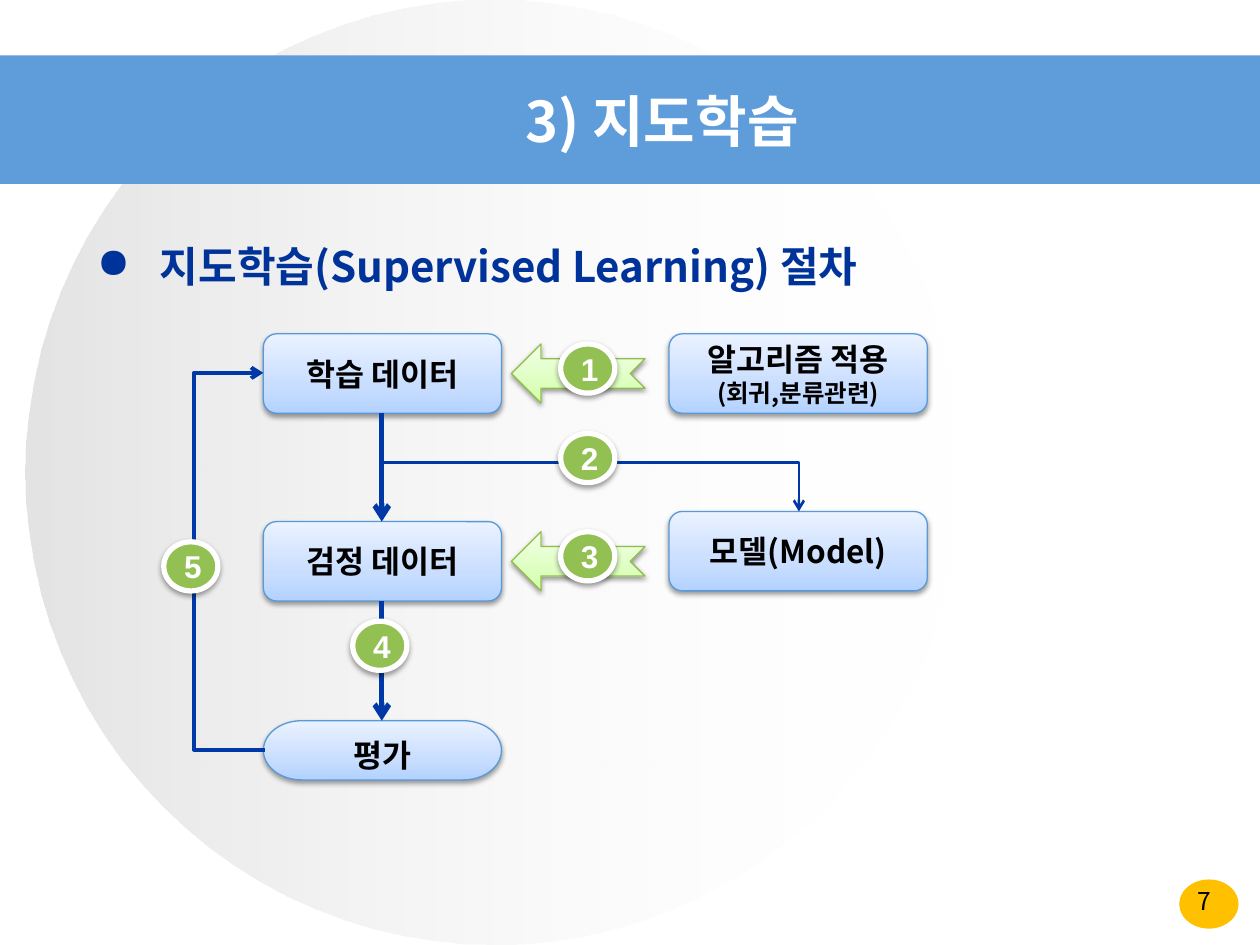
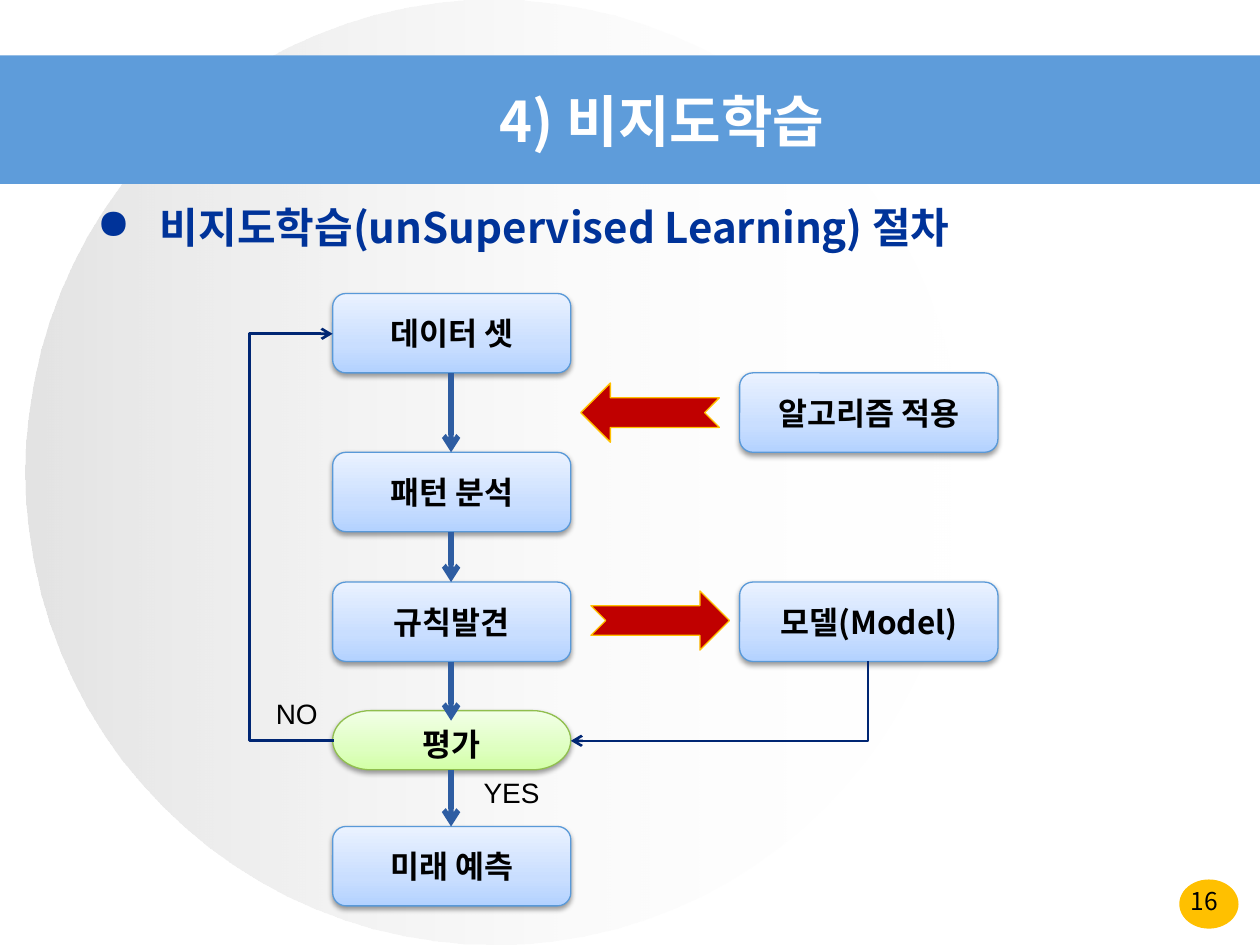
from dataclasses import dataclass
from typing import Optional

from pptx import Presentation
from pptx.dml.color import RGBColor
from pptx.enum.shapes import MSO_CONNECTOR, MSO_SHAPE
from pptx.enum.text import MSO_ANCHOR, PP_ALIGN
from pptx.oxml.ns import qn
from pptx.oxml.xmlchemy import OxmlElement
from pptx.util import Inches, Pt

ROUND = MSO_SHAPE.ROUNDED_RECTANGLE
TERMINATOR = MSO_SHAPE.FLOWCHART_TERMINATOR
NOTCHED = MSO_SHAPE.NOTCHED_RIGHT_ARROW
OVAL = MSO_SHAPE.OVAL
RECT = MSO_SHAPE.RECTANGLE
STRAIGHT, ELBOW = MSO_CONNECTOR.STRAIGHT, MSO_CONNECTOR.ELBOW
TOP, MIDDLE = MSO_ANCHOR.TOP, MSO_ANCHOR.MIDDLE
LEFT, CENTER = PP_ALIGN.LEFT, PP_ALIGN.CENTER

KOREAN, LATIN = "Noto Sans CJK KR", "Arial"
COLORS = {
    "white": "FFFFFF", "black": "000000", "silver": "C0C0C0",
    "band": "5E9CDA", "page": "FFC000", "heading": "003399",
    "blue_edge": "5999D8", "green_edge": "90BE4E", "badge": "93C052",
    "red": "C00000", "flow": "0038A8", "step": "2E5DA2", "route": "002673",
}


# Styles and elements
@dataclass(frozen=True)
class Style:
    stops: tuple  # (position %, hex, opacity %); a single stop is a solid fill
    angle: int = 270
    edge: Optional[str] = None
    edge_pt: float = 0.75
    shadow: bool = False


@dataclass(frozen=True)
class Node:
    x: float
    y: float
    w: float
    lines: tuple
    style: Style
    shape: int = ROUND
    h: float = 0.63


@dataclass(frozen=True)
class BlockArrow:
    x: float
    y: float
    w: float
    style: Style
    flip: bool = False


@dataclass(frozen=True)
class Link:
    start: tuple
    end: tuple
    color: str
    width: float = 3
    side_x: Optional[float] = None  # x of the vertical run of a loop
    bends: int = 0                  # bends of a link that leaves downward


def solid(name: str, **options) -> Style:
    return Style(((0, COLORS[name], 100),), **options)


def tint(hexes: tuple, edge: str) -> Style:
    stops = tuple((pos, c, 100) for pos, c in zip((0, 35, 100), hexes))
    return Style(stops, edge=edge, shadow=True)


BLUE = tint(("B3D2FF", "C9DEFF", "EAF2FF"), "blue_edge")
GREEN = tint(("D2FFA6", "DEFFC0", "F2FFE7"), "green_edge")
RED = solid("red", edge="page")
BADGE = solid("badge", edge="white", edge_pt=3, shadow=True)
DISC = Style(((0, COLORS["silver"], 44), (100, COLORS["white"], 0)), angle=0)


def rgb(name: str) -> RGBColor:
    return RGBColor.from_string(COLORS[name])


def child(parent, tag: str, **attrs):
    el = OxmlElement(tag)
    for key, value in attrs.items():
        el.set(key, str(value))
    parent.append(el)
    return el


def add_color(parent, hex_value: str, opacity: int) -> None:
    color = child(parent, "a:srgbClr", val=hex_value)
    child(color, "a:alpha", val=opacity * 1000)


# Drawing
def paint(sp, style: Style) -> None:
    if len(style.stops) == 1:
        sp.fill.solid()
        sp.fill.fore_color.rgb = RGBColor.from_string(style.stops[0][1])
    else:
        sp.fill.gradient()
        grad = sp.element.spPr.find(qn("a:gradFill"))
        gs_list = grad.find(qn("a:gsLst"))
        for gs in list(gs_list):
            gs_list.remove(gs)
        for pos, hex_value, opacity in style.stops:
            add_color(child(gs_list, "a:gs", pos=pos * 1000), hex_value, opacity)
        grad.find(qn("a:lin")).set("ang", str(style.angle * 60000))
    if style.edge:
        sp.line.color.rgb = rgb(style.edge)
        sp.line.width = Pt(style.edge_pt)
    else:
        sp.line.fill.background()
    sp.shadow.inherit = False
    if style.shadow:
        effects = sp.element.spPr.find(qn("a:effectLst"))
        shadow = child(effects, "a:outerShdw", blurRad=Pt(3.1), dist=Pt(1.6),
                       dir=90 * 60000, rotWithShape=0)
        add_color(shadow, COLORS["black"], 38)


def add_shape(slide, kind: int, x: float, y: float, w: float, h: float, style: Style):
    sp = slide.shapes.add_shape(kind, Inches(x), Inches(y), Inches(w), Inches(h))
    paint(sp, style)
    return sp


def add_run(p, text: str, size: int, color: str, font: str = KOREAN, bold: bool = True) -> None:
    r = p.add_run()
    r.text = text
    r.font.size, r.font.bold, r.font.name = Pt(size), bold, font
    r.font.color.rgb = rgb(color)
    child(r._r.get_or_add_rPr(), "a:ea", typeface=font)


def add_text(slide, x: float, y: float, w: float, h: float, text: str, size: int,
             color: str = "black", font: str = KOREAN, bold: bool = False, align=LEFT):
    box = slide.shapes.add_textbox(Inches(x), Inches(y), Inches(w), Inches(h))
    box.text_frame.word_wrap = True
    p = box.text_frame.paragraphs[0]
    p.alignment = align
    add_run(p, text, size, color, font, bold)
    return p


def add_node(slide, node: Node) -> None:
    sp = add_shape(slide, node.shape, node.x, node.y, node.w, node.h, node.style)
    tf = sp.text_frame
    tf.vertical_anchor = TOP if node.shape == TERMINATOR else MIDDLE
    for i, text in enumerate(node.lines):
        p = tf.add_paragraph() if i else tf.paragraphs[0]
        p.alignment = CENTER
        add_run(p, text, 14 if i else 18, "black")


def add_block_arrow(slide, arrow: BlockArrow) -> None:
    sp = add_shape(slide, NOTCHED, arrow.x, arrow.y, arrow.w, 0.47, arrow.style)
    if arrow.flip:
        sp.element.spPr.find(qn("a:xfrm")).set("flipH", "1")


def add_badge(slide, number: int, x: float, y: float) -> None:
    sp = add_shape(slide, OVAL, x, y, 0.43, 0.39, BADGE)
    sp.text_frame.vertical_anchor = MIDDLE
    p = sp.text_frame.paragraphs[0]
    p.alignment = LEFT
    add_run(p, str(number), 18, "white", LATIN)


def leave_downward(cxn, link: Link) -> None:
    """Turn an elbow link a quarter so that it starts with a vertical run."""
    (x1, y1), (x2, y2) = link.start, link.end
    w, h = abs(y2 - y1), abs(x2 - x1)
    cxn.left, cxn.top = Inches((x1 + x2 - w) / 2), Inches((y1 + y2 - h) / 2)
    cxn.width, cxn.height = Inches(w), Inches(h)
    xfrm = cxn.element.spPr.find(qn("a:xfrm"))
    to_right = x2 > x1
    xfrm.set("rot", str((270 if to_right else 90) * 60000))
    xfrm.set("flipH", str(int(to_right)))
    xfrm.set("flipV", "0")
    cxn.element.spPr.find(qn("a:prstGeom")).set("prst", f"bentConnector{link.bends + 1}")


def add_link(slide, link: Link) -> None:
    (x1, y1), (x2, y2) = link.start, link.end
    kind = ELBOW if link.bends or link.side_x is not None else STRAIGHT
    cxn = slide.shapes.add_connector(kind, Inches(x1), Inches(y1), Inches(x2), Inches(y2))
    if link.bends:
        leave_downward(cxn, link)
    elif link.side_x is not None:
        geom = cxn.element.spPr.find(qn("a:prstGeom"))
        guides = geom.find(qn("a:avLst"))
        if guides is None:
            guides = child(geom, "a:avLst")
        ratio = (link.side_x - x1) / (x2 - x1)
        child(guides, "a:gd", name="adj1", fmla=f"val {round(ratio * 100000)}")
    cxn.line.color.rgb = rgb(link.color)
    cxn.line.width = Pt(link.width)
    child(cxn.line._get_or_add_ln(), "a:tailEnd", type="arrow")
    child(cxn.element.spPr, "a:effectLst")


def add_base(prs, title: str, page: int, heading: str, heading_y: float):
    """Background, title band, page number and bulleted heading."""
    slide = prs.slides.add_slide(prs.slide_layouts[5])
    add_shape(slide, OVAL, 9.36, 6.98, 0.47, 0.39, solid("page"))
    add_shape(slide, OVAL, 0.2, 0, 7.44, 7.5, DISC)
    add_shape(slide, RECT, 0, 0.44, 10, 1.02, solid("band"))

    sp = slide.shapes.title
    slide.shapes.element.append(sp.element)  # bring in front of the band
    sp.left, sp.top, sp.width, sp.height = map(Inches, (0.51, 0.58, 9.49, 0.75))
    sp.text_frame.vertical_anchor = MIDDLE
    p = sp.text_frame.paragraphs[0]
    p.alignment = CENTER
    add_run(p, title, 32, "white")

    add_text(slide, 9.12, 6.98, 0.88, 0.29, str(page), 14, align=CENTER)
    p = add_text(slide, 0.67, heading_y, 8.75, 0.6, heading, 24, "heading", bold=True)
    pPr = p._p.get_or_add_pPr()
    pPr.set("marL", str(Inches(0.5)))
    pPr.set("indent", str(-Inches(0.5)))
    child(child(pPr, "a:buClr"), "a:srgbClr", val=COLORS["heading"])
    child(pPr, "a:buChar", char="●")
    return slide


def add_diagram(slide, nodes: list, arrows: list, links: list) -> None:
    for draw, items in ((add_block_arrow, arrows), (add_node, nodes), (add_link, links)):
        for item in items:
            draw(slide, item)


def supervised(prs) -> None:
    slide = add_base(prs, "3) 지도학습", 7, "지도학습(Supervised Learning) 절차", 1.86)
    x, w, side_x, side_w = 2.09, 1.89, 5.31, 2.05
    mid, side_mid = 3.03, 6.34
    nodes = [
        Node(x, 2.65, w, ("학습 데이터",), BLUE),
        Node(side_x, 2.65, side_w, ("알고리즘 적용", "(회귀,분류관련)"), BLUE),
        Node(side_x, 4.06, side_w, ("모델(Model)",), BLUE),
        Node(x, 4.14, w, ("검정 데이터",), BLUE),
        Node(x, 5.72, w, ("평가",), BLUE, TERMINATOR, 0.47),
    ]
    arrows = [BlockArrow(4.06, y, 1.06, GREEN, flip=True) for y in (2.73, 4.22)]
    links = [
        Link((mid, 3.28), (mid, 4.14), "flow"),
        Link((mid, 4.77), (mid, 5.72), "flow"),
        Link((x + 0.01, 5.95), (x, 2.96), "flow", 2.25, side_x=1.53),
        Link((mid, 3.28), (side_mid, 4.06), "flow", 1.5, bends=2),
    ]
    add_diagram(slide, nodes, arrows, links)
    badges = [(4.45, 2.73), (4.45, 3.44), (4.45, 4.22), (2.8, 4.93), (1.3, 4.3)]
    for number, (bx, by) in enumerate(badges, start=1):
        add_badge(slide, number, bx, by)


def unsupervised(prs) -> None:
    slide = add_base(prs, "4) 비지도학습", 16, "비지도학습(unSupervised Learning) 절차", 1.55)
    x, w, side_x, side_w = 2.64, 1.89, 5.87, 2.05
    mid, side_mid = 3.58, 6.89
    steps = {2.33: "데이터 셋", 3.59: "패턴 분석", 4.62: "규칙발견", 6.56: "미래 예측"}
    nodes = [Node(x, y, w, (text,), BLUE) for y, text in steps.items()]
    nodes += [
        Node(side_x, 2.96, side_w, ("알고리즘 적용",), BLUE),
        Node(side_x, 4.62, side_w, ("모델(Model)",), BLUE),
        Node(x, 5.64, w, ("평가",), GREEN, TERMINATOR, 0.47),
    ]
    arrows = [BlockArrow(4.61, 3.04, 1.1, RED, flip=True), BlockArrow(4.69, 4.69, 1.1, RED)]
    spans = [(2.96, 3.59), (4.22, 4.62), (5.25, 5.72), (6.11, 6.56)]
    links = [Link((mid, y1), (mid, y2), "step") for y1, y2 in spans]
    links += [
        Link((x + 0.01, 5.88), (x, 2.65), "route", 1.5, side_x=1.97),
        Link((side_mid, 5.25), (x + w, 5.88), "route", 1.5, bends=1),
    ]
    add_diagram(slide, nodes, arrows, links)
    add_text(slide, 2.09, 5.48, 0.55, 0.37, "NO", 16, font=LATIN)
    add_text(slide, 3.74, 6.11, 0.87, 0.37, "YES", 16, font=LATIN)


def main() -> None:
    prs = Presentation()
    prs.slide_width, prs.slide_height = Inches(10), Inches(7.5)
    supervised(prs)
    unsupervised(prs)
    prs.save("out.pptx")


if __name__ == "__main__":
    main()
